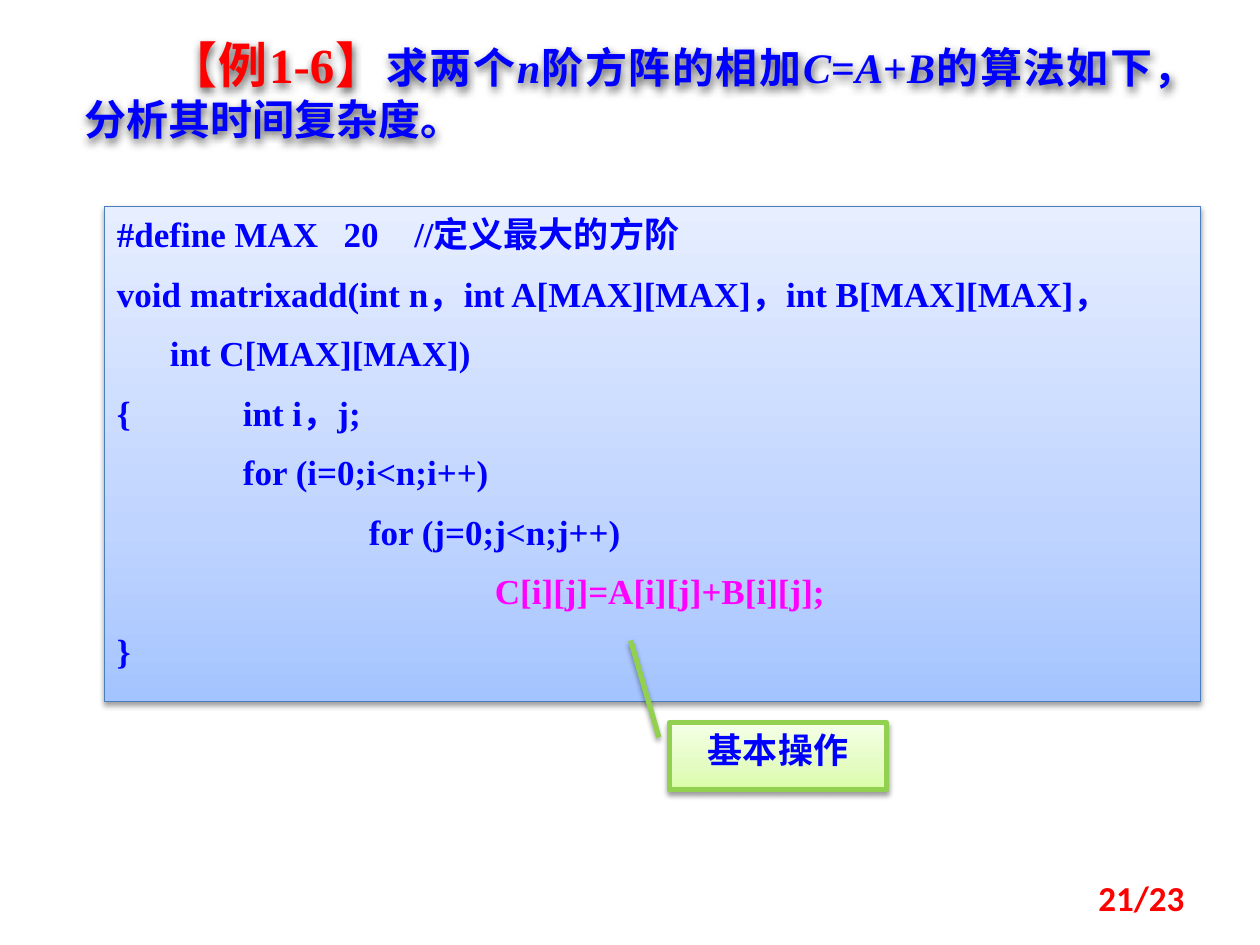
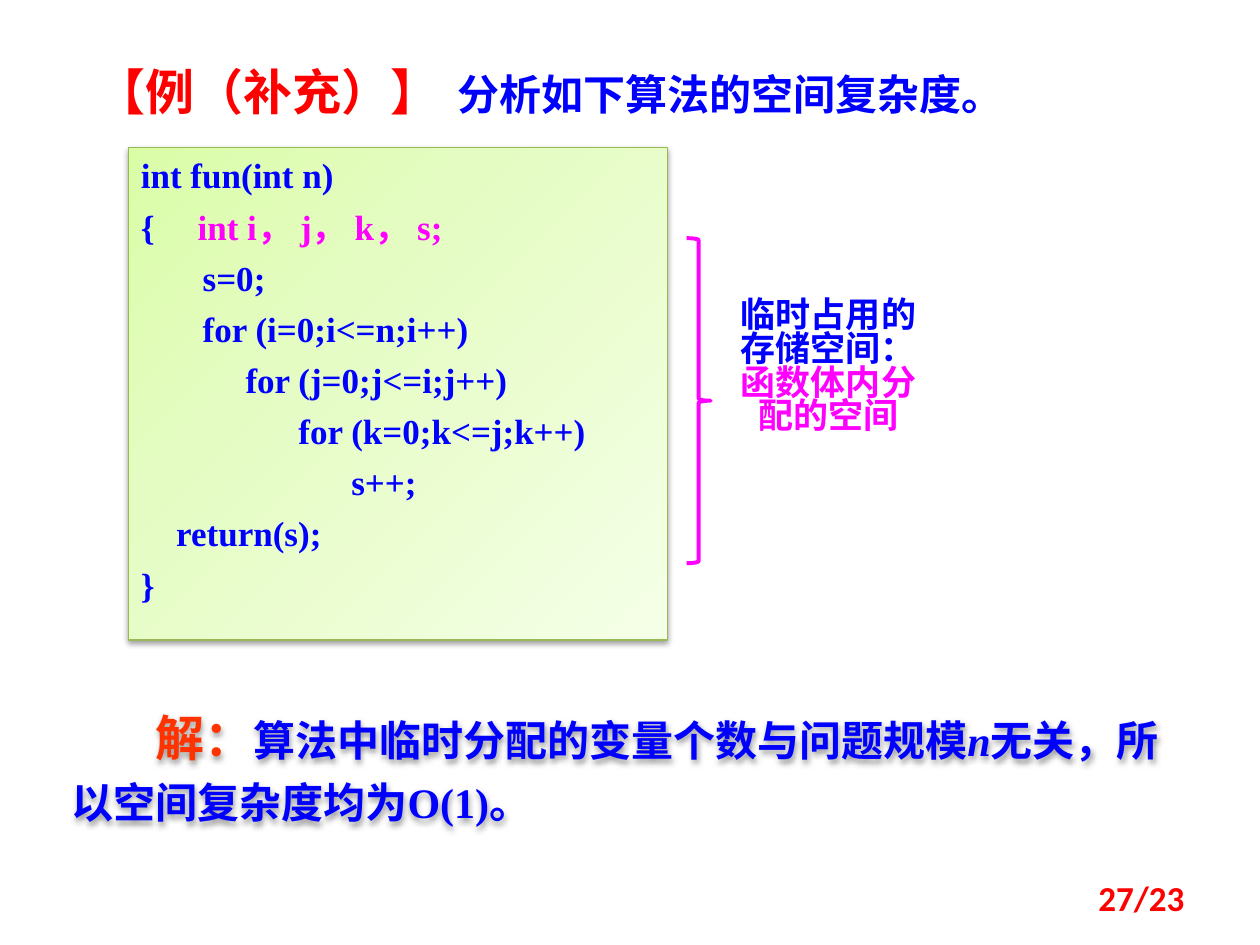
from dataclasses import dataclass
from typing import Any, NamedTuple, Optional

from lxml import etree
from pptx import Presentation
from pptx import util as u
from pptx.dml.color import RGBColor
from pptx.enum import shapes, text
from pptx.oxml.ns import qn

WIDTH, HEIGHT = u.Inches(10), u.Inches(7.5)
COLS, ROWS = 100, 75
COL, ROW = WIDTH / COLS, HEIGHT / ROWS

COLORS = {
    "blue": "0000FF", "red": "FF0000", "orange": "FF3300", "magenta": "FF00FF",
    "code_edge": "4B7EBC", "green_edge": "98B955", "callout_edge": "92D050",
    "blue_dark": "A4C4FF", "blue_mid": "BFD4FF", "blue_light": "E6EEFF",
    "green_dark": "DAFDA7", "green_mid": "E4FCC2", "green_light": "F5FFE7",
    "black": "000000",
}
SERIF, SANS, CJK = "Times New Roman", "Calibri", "Noto Sans CJK SC"
CODE, BODY, HEAD = 20, 24, 28
CODE_GAP = 10
LEFT, CENTER, RIGHT, JUSTIFY = (
    text.PP_ALIGN.LEFT, text.PP_ALIGN.CENTER, text.PP_ALIGN.RIGHT, text.PP_ALIGN.JUSTIFY)


class Area(NamedTuple):
    col: float
    row: float
    cols: float
    rows: float


class Shadow(NamedTuple):
    alpha: int
    blur: float
    dist: float


class Gradient(NamedTuple):
    hue: str
    angle: int


class Run(NamedTuple):
    text: str
    color: str = "blue"
    size: int = CODE
    italic: bool = False
    font: str = SERIF


@dataclass
class Para:
    runs: list[Run]
    align: Any = JUSTIFY
    margin: float = 0
    first: float = 0
    tabs: tuple[float, ...] = ()
    leading: Optional[float] = None
    before: float = 0


@dataclass
class Panel:
    area: Area
    paras: list[Para]
    kind: Any = None
    fill: Optional[Gradient] = None
    edge: Optional[str] = None
    weight: float = 0.75
    shadow: Optional[Shadow] = None
    anchor: Any = text.MSO_ANCHOR.TOP
    adjustments: tuple[float, ...] = ()


BOX_SHADOW = Shadow(38, 3.1, 1.6)
RECT = shapes.MSO_SHAPE.RECTANGLE


def rgb(name: str) -> RGBColor:
    return RGBColor.from_string(COLORS[name])


def assign(obj: Any, values: dict[str, Any]) -> None:
    for key, value in values.items():
        setattr(obj, key, value)


def child(parent: Any, tag: str, **attrs: Any) -> Any:
    return etree.SubElement(parent, qn(tag), {k: str(v) for k, v in attrs.items()})


def paint_gradient(sp: Any, gradient: Gradient) -> None:
    sp.fill.gradient()
    sp.fill.gradient_angle = gradient.angle
    stops = sp.fill._xPr.find(".//" + qn("a:gsLst"))
    for stop in list(stops):
        stops.remove(stop)
    for tone, position in (("dark", 0), ("mid", 35), ("light", 100)):
        stop = child(stops, "a:gs", pos=position * 1000)
        child(stop, "a:srgbClr", val=COLORS[f"{gradient.hue}_{tone}"])


def cast_shadow(sp: Any, shadow: Optional[Shadow]) -> None:
    sp.shadow.inherit = False
    if shadow:
        effects = sp._element.spPr.find(qn("a:effectLst"))
        outer = child(effects, "a:outerShdw", blurRad=u.Pt(shadow.blur), dist=u.Pt(shadow.dist),
                      dir=5400000, algn="ctr", rotWithShape=0)
        color = child(outer, "a:srgbClr", val=COLORS["black"])
        child(color, "a:alpha", val=shadow.alpha * 1000)


def write_para(p: Any, para: Para) -> None:
    assign(p, {"alignment": para.align, "space_before": u.Pt(para.before)})
    if para.leading:
        p.line_spacing = para.leading
    pPr = p._p.get_or_add_pPr()
    pPr.set("hangingPunct", "0")
    for key, offset in (("marL", para.margin), ("indent", para.first)):
        if offset:
            pPr.set(key, str(int(offset * COL)))
    if para.tabs:
        tab_list = child(pPr, "a:tabLst")
        for tab in para.tabs:
            child(tab_list, "a:tab", pos=int(tab * COL), algn="l")
    for run in para.runs:
        r = p.add_run()
        r.text = run.text
        assign(r.font, {"name": run.font, "size": u.Pt(run.size), "bold": True,
                        "italic": run.italic})
        r.font.color.rgb = rgb(run.color)
        child(r._r.get_or_add_rPr(), "a:ea", typeface=CJK)


def draw_panel(s: Any, panel: Panel) -> None:
    a = panel.area
    place = [int(v) for v in (a.col * COL, a.row * ROW, a.cols * COL, a.rows * ROW)]
    if panel.kind is None:
        sp = s.shapes.add_textbox(*place)
    else:
        sp = s.shapes.add_shape(panel.kind, *place)
        for i, value in enumerate(panel.adjustments):
            sp.adjustments[i] = value
        if panel.fill:
            paint_gradient(sp, panel.fill)
        else:
            sp.fill.background()
        sp.line.color.rgb = rgb(panel.edge)
        sp.line.width = u.Pt(panel.weight)
    cast_shadow(sp, panel.shadow)
    tf = sp.text_frame
    assign(tf, {"word_wrap": True, "vertical_anchor": panel.anchor})
    for i, para in enumerate(panel.paras):
        write_para(tf.paragraphs[0] if i == 0 else tf.add_paragraph(), para)


def code_line(line: str, margin: float = 0, color: str = "blue", **layout: Any) -> Para:
    return Para([Run(line, color)], margin=margin, **{"before": CODE_GAP, **layout})


def page_number(label: str) -> Panel:
    return Panel(Area(71.7, 69.25, 23.3, 4),
                 [Para([Run(label, "red", font=SANS)], RIGHT)],
                 anchor=text.MSO_ANCHOR.MIDDLE)


def matrix_slide() -> list[Panel]:
    code = [
        code_line("#define MAX\t20\t//定义最大的方阶", tabs=(18, 23.6), before=0),
        code_line("void matrixadd(int n，int A[MAX][MAX]，int B[MAX][MAX]，"),
        code_line("int C[MAX][MAX])", 4.2),
        code_line("{\tint i，j;", tabs=(10,)),
        code_line("for (i=0;i<n;i++)", 10),
        code_line("for (j=0;j<n;j++)", 20),
        code_line("C[i][j]=A[i][j]+B[i][j];", 30, "magenta"),
        code_line("}"),
    ]
    formula = [Run(sign, size=BODY, italic=sign.isalpha()) for sign in "C=A+B"]
    title = Para([
        Run("【例1-6】", "red", HEAD),
        Run("求两个", size=BODY), Run("n", size=BODY, italic=True),
        Run("阶方阵的相加", size=BODY), *formula,
        Run("的算法如下，分析其时间复杂度。", size=BODY),
    ], first=6.67)
    return [
        Panel(Area(8.3, 16.4, 87, 39.3), code, RECT, Gradient("blue", 90), "code_edge",
              shadow=BOX_SHADOW),
        Panel(Area(5.7, 2.25, 90.2, 9.8), [title], shadow=Shadow(65, 5, 2)),
        Panel(Area(53.15, 57.35, 17.2, 5.3), [Para([Run("基本操作", font=CJK)], CENTER)],
              shapes.MSO_SHAPE.LINE_CALLOUT_2, Gradient("green", 90), "callout_edge", 3,
              BOX_SHADOW, adjustments=(0.22, -0.05, 0.22, -0.05, -1.23, -0.18)),
        page_number("21/23"),
    ]


def space_slide() -> list[Panel]:
    title = Para([Run("【例（补充）】", "red", HEAD), Run("\t分析如下算法的空间复杂度。", size=BODY)],
                 LEFT, tabs=(28.6,))
    answer = Para([
        Run("解：", "orange", HEAD), Run("算法中临时分配的变量个数与问题规模", size=BODY),
        Run("n", size=BODY, italic=True),
        Run("无关，所以空间复杂度均为O(1)。", size=BODY),
    ], LEFT, first=6.67, leading=1.2)
    steps = [("s=0;", 4.9), ("for (i=0;i<=n;i++)", 4.9), ("for (j=0;j<=i;j++)", 8.3),
             ("for (k=0;k<=j;k++)", 12.5), ("s++;", 16.7), ("return(s);", 2.8), ("}", 0)]
    code = [
        code_line("int fun(int n)", before=0),
        Para([Run("{\t"), Run("int i， j， k， s;", "magenta")],
             tabs=(4.5,), leading=0.8, before=CODE_GAP),
        *(code_line(line, margin, leading=0.8) for line, margin in steps),
    ]
    remark = Para([Run("临时占用的存储空间："), Run("函数体内分配的空间", "magenta")],
                  CENTER, leading=0.8)
    return [
        Panel(Area(6.7, 4.4, 76.1, 5.7), [title]),
        Panel(Area(4.7, 54.7, 90.6, 11.5), [answer], shadow=Shadow(40, 3, 2)),
        Panel(Area(10.2, 11.7, 42.8, 39.1), code, RECT, Gradient("green", 315), "green_edge",
              shadow=BOX_SHADOW),
        Panel(Area(54.5, 18.9, 1.9, 25.8), [], shapes.MSO_SHAPE.RIGHT_BRACE,
              edge="magenta", weight=2.25),
        Panel(Area(57.3, 23.4, 16.9, 15.8), [remark]),
        page_number("27/23"),
    ]


def main() -> None:
    prs = Presentation()
    assign(prs, {"slide_width": WIDTH, "slide_height": HEIGHT})
    for panels in (matrix_slide(), space_slide()):
        s = prs.slides.add_slide(prs.slide_layouts[6])
        for panel in panels:
            draw_panel(s, panel)
    prs.save("out.pptx")


if __name__ == "__main__":
    main()
